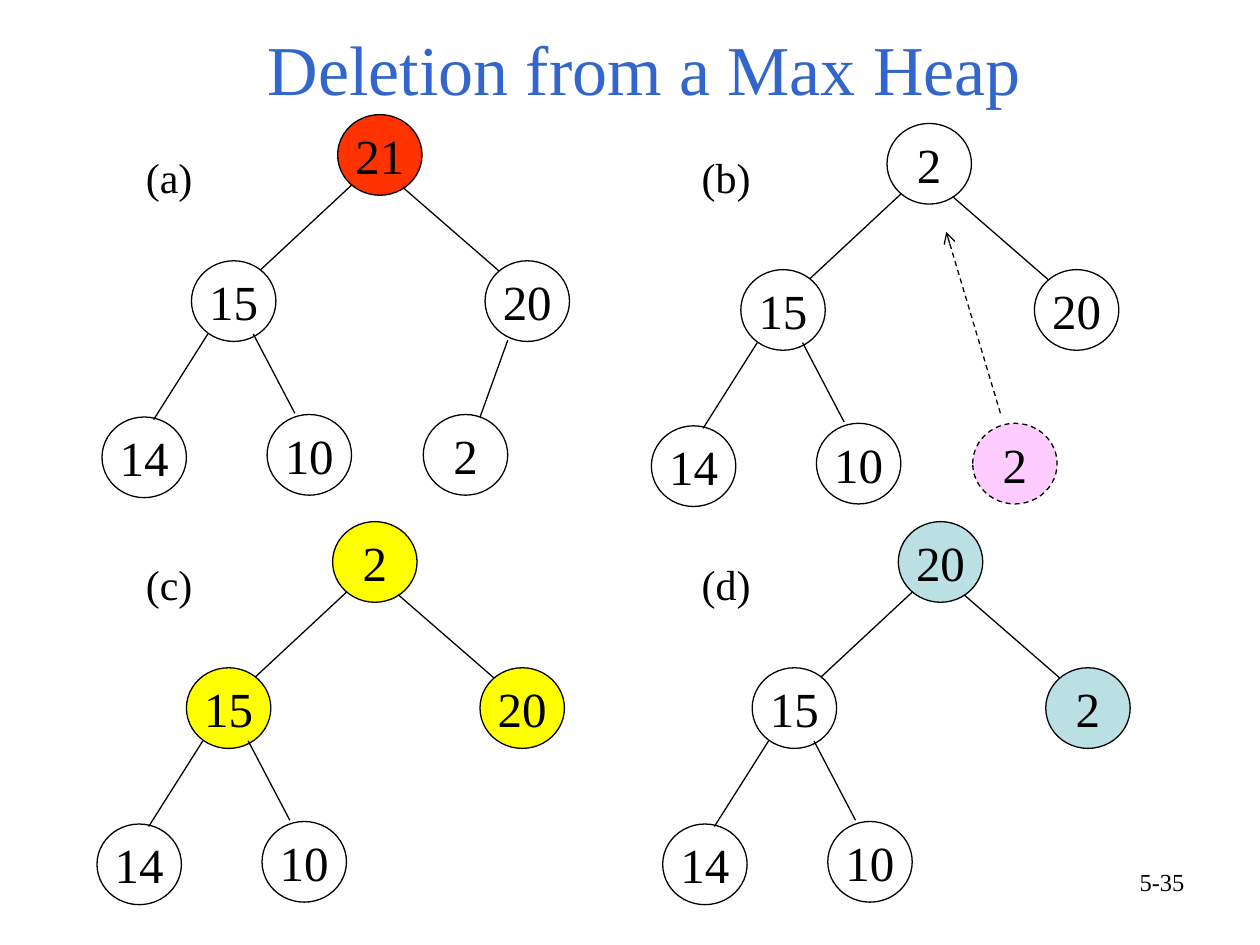
from pptx import Presentation
from pptx.dml.color import RGBColor
from pptx.enum.dml import MSO_LINE_DASH_STYLE as Dash
from pptx.enum.shapes import MSO_CONNECTOR_TYPE as Connector, MSO_SHAPE as Shape
from pptx.enum.text import MSO_ANCHOR as Anchor, MSO_AUTO_SIZE as AutoSize, PP_ALIGN as Align
from pptx.oxml.ns import qn
from pptx.util import Inches, Pt
from lxml.etree import SubElement

TITLE = "Deletion from a Max Heap"
PAGE_NUMBER = "5-35"
FONT = "Times New Roman"
COLORS = {
    "title": "3366CC",
    "ink": "000000",
    "deleted": "FF3300",
    "moved": "FFCCFF",
    "compared": "FFFF00",
    "swapped": "BBE0E3",
}
NODE_WIDTH, NODE_HEIGHT = 0.67, 0.64

NODE_OFFSETS = {
    "root": (0, 0),
    "left": (-1.16, 1.16),
    "right": (1.17, 1.16),
    "left_left": (-1.87, 2.4),
    "left_right": (-0.56, 2.38),
    "right_left": (0.68, 2.38),
}
EDGE_OFFSETS = {
    "left": ((0.11, 0.56), (-0.61, 1.23)),
    "right": ((0.52, 0.58), (1.28, 1.24)),
    "left_left": ((-1.03, 1.74), (-1.46, 2.42)),
    "left_right": ((-0.67, 1.74), (-0.34, 2.37)),
    "right_left": ((1.35, 1.79), (1.13, 2.4)),
}
HEAPS = [
    {
        "label": "(a)", "label_at": (1.06, 1.15), "root_at": (2.68, 0.91),
        "values": {"root": 21, "left": 15, "right": 20,
                   "left_left": 14, "left_right": 10, "right_left": 2},
        "fills": {"root": "deleted"},
    },
    {
        "label": "(b)", "label_at": (5.47, 1.15), "root_at": (7.04, 0.98),
        "values": {"root": 2, "left": 15, "right": 20,
                   "left_left": 14, "left_right": 10, "right_left": 2},
        "fills": {"right_left": "moved"},
        "detached": "right_left",
    },
    {
        "label": "(c)", "label_at": (1.06, 4.38), "root_at": (2.64, 4.14),
        "values": {"root": 2, "left": 15, "right": 20,
                   "left_left": 14, "left_right": 10},
        "fills": {"root": "compared", "left": "compared", "right": "compared"},
    },
    {
        "label": "(d)", "label_at": (5.47, 4.38), "root_at": (7.13, 4.14),
        "values": {"root": 20, "left": 15, "right": 2,
                   "left_left": 14, "left_right": 10},
        "fills": {"root": "swapped", "right": "swapped"},
    },
]
MOVE_ARROW = ((7.94, 3.28), (7.51, 1.84))


def color(name):
    return RGBColor.from_string(COLORS[name])


def write(shape, text, size, align, ink="ink"):
    paragraph = shape.text_frame.paragraphs[0]
    paragraph.text = text
    paragraph.alignment = align
    paragraph.font.size = Pt(size)
    paragraph.font.name = FONT
    paragraph.font.color.rgb = color(ink)


def style_line(line, dashed):
    line.color.rgb = color("ink")
    line.width = Pt(0.75)
    if dashed:
        line.dash_style = Dash.DASH


def add_text(slide, text, box, size, align):
    shape = slide.shapes.add_textbox(*map(Inches, box))
    shape.text_frame.word_wrap = True
    write(shape, text, size, align)


def add_node(slide, value, position, fill=None, dashed=False):
    node = slide.shapes.add_shape(
        Shape.OVAL, *map(Inches, (*position, NODE_WIDTH, NODE_HEIGHT)))
    node.shadow.inherit = False
    if fill:
        node.fill.solid()
        node.fill.fore_color.rgb = color(fill)
    else:
        node.fill.background()
    style_line(node.line, dashed)
    node.text_frame.word_wrap = False
    node.text_frame.vertical_anchor = Anchor.MIDDLE
    write(node, str(value), 28, Align.CENTER)


def add_edge(slide, start, end, dashed=False, arrow=False):
    edge = slide.shapes.add_connector(
        Connector.STRAIGHT, *map(Inches, (*start, *end)))
    style_line(edge.line, dashed)
    if arrow:
        SubElement(edge.line._get_or_add_ln(), qn("a:tailEnd"), type="arrow")
    SubElement(edge._element.spPr, qn("a:effectLst"))


def add_heap(slide, heap):
    def place(offset):
        return tuple(base + shift for base, shift in zip(heap["root_at"], offset))

    detached = heap.get("detached")
    for name, value in heap["values"].items():
        add_node(slide, value, place(NODE_OFFSETS[name]),
                 heap["fills"].get(name), name == detached)
        if name in EDGE_OFFSETS and name != detached:
            add_edge(slide, *map(place, EDGE_OFFSETS[name]))
    add_text(slide, heap["label"], (*heap["label_at"], 0.63, 0.5), 24, Align.LEFT)


def main():
    presentation = Presentation()
    presentation.slide_width = Inches(10)
    presentation.slide_height = Inches(7.5)
    slide = presentation.slides.add_slide(presentation.slide_layouts[5])

    title = slide.shapes.title
    title.left, title.top, title.width, title.height = map(
        Inches, (0.75, 0.15, 8.73, 0.77))
    title.text_frame.vertical_anchor = Anchor.BOTTOM
    title.text_frame.auto_size = AutoSize.NONE
    write(title, TITLE, 40, Align.CENTER, "title")

    for heap in HEAPS:
        add_heap(slide, heap)
    add_edge(slide, *MOVE_ARROW, dashed=True, arrow=True)
    add_text(slide, PAGE_NUMBER, (7.17, 6.83, 2.33, 0.52), 14, Align.RIGHT)
    presentation.save("out.pptx")


if __name__ == "__main__":
    main()
